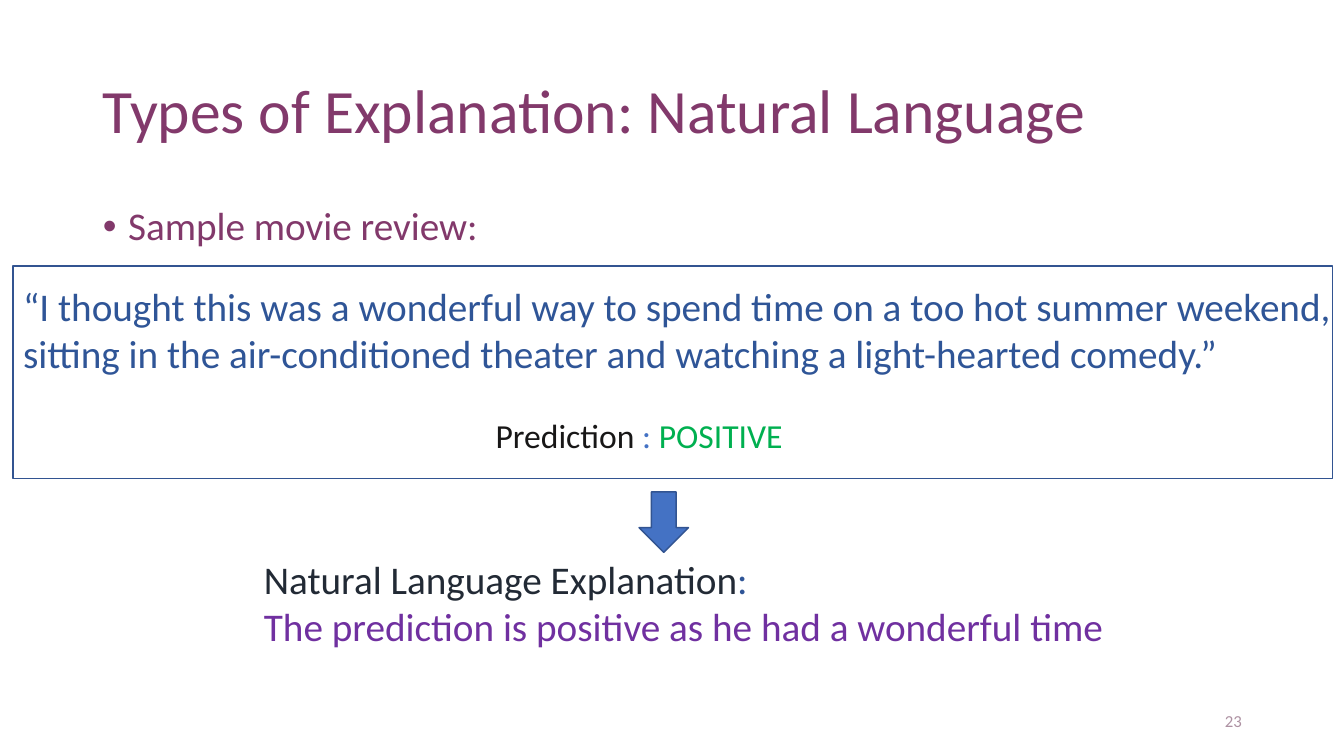
from lxml.etree import SubElement
from pptx import Presentation
from pptx.dml.color import RGBColor
from pptx.enum.shapes import MSO_SHAPE as Shape
from pptx.enum.text import MSO_ANCHOR as Anchor, PP_ALIGN as Align
from pptx.oxml.ns import qn
from pptx.util import Inches, Pt

PLUM = RGBColor(0x82, 0x39, 0x6B)
MAUVE = RGBColor(0xAD, 0x91, 0xA2)
SLATE = RGBColor(0x22, 0x2A, 0x35)
NAVY = RGBColor(0x2F, 0x55, 0x97)
OUTLINE = RGBColor(0x32, 0x54, 0x91)
BLUE = RGBColor(0x44, 0x72, 0xC4)
PURPLE = RGBColor(0x70, 0x30, 0xA0)
BLACK = RGBColor(0x18, 0x17, 0x17)
GREEN = RGBColor(0x00, 0xB0, 0x50)

deck = Presentation()
deck.slide_width, deck.slide_height = Inches(13.33), Inches(7.5)
slide = deck.slides.add_slide(deck.slide_layouts[1])


def area(left, top, width, height):
    """Turn percentages of the slide's size into a position and size."""
    w, h = deck.slide_width, deck.slide_height
    return [int(share * side / 100)
            for share, side in zip((left, top, width, height), (w, h, w, h))]


def write(paragraph, text, size, color):
    run = paragraph.add_run()
    run.text = text
    run.font.name = "Calibri"
    run.font.size = Pt(size)
    run.font.color.rgb = color


# Title and opening bullet
title = slide.shapes.title
review_intro = slide.placeholders[1]
for holder, place, anchor, text, size in (
    (title, area(6.9, 5.33, 86.25, 19.33), Anchor.MIDDLE,
     "Types of Explanation: Natural Language", 44),
    (review_intro, area(6.9, 26.67, 86.25, 63.47), Anchor.TOP,
     "Sample movie review:", 28),
):
    holder.left, holder.top, holder.width, holder.height = place
    holder.text_frame.vertical_anchor = anchor
    line = holder.text_frame.paragraphs[0]
    line.alignment = Align.LEFT
    line.line_spacing = 0.9
    line.space_before = Pt(0)
    write(line, text, size, PLUM)

bullet = review_intro.text_frame.paragraphs[0]._p.get_or_add_pPr()
bullet.set("marL", str(Inches(0.25)))
bullet.set("indent", str(Inches(-0.25)))
SubElement(bullet, qn("a:buFont")).set("typeface", "Arial")
SubElement(bullet, qn("a:buChar")).set("char", "•")

# Review frame and the arrow to the explanation
frame = slide.shapes.add_shape(Shape.RECTANGLE, *area(0.98, 35.2, 98.18, 28.13))
frame.fill.background()
arrow = slide.shapes.add_shape(Shape.DOWN_ARROW, *area(47.55, 65.07, 3.68, 8))
arrow.fill.solid()
arrow.fill.fore_color.rgb = BLUE
for outlined in (frame, arrow):
    outlined.shadow.inherit = False
    outlined.line.color.rgb = OUTLINE
    outlined.line.width = Pt(1)

# Text boxes: place, alignment, size, paragraphs of (text, colour) runs
for place, alignment, size, paragraphs in (
    (area(0.98, 36.67, 99, 13.87), Align.LEFT, 28, [
        [("“I thought this was a wonderful way to spend time on a too hot summer weekend,", NAVY)],
        [("sitting in the air-conditioned theater and watching a light-hearted comedy.”", NAVY)],
    ]),
    (area(36, 54.27, 23.1, 6.67), Align.CENTER, 24, [
        [("Prediction", BLACK), (" : ", BLUE), ("POSITIVE", GREEN)],
    ]),
    (area(18.9, 72.8, 64.7, 13.87), Align.LEFT, 28, [
        [("Natural Language Explanation", SLATE), (":", NAVY)],
        [("The prediction is positive as he had a wonderful time", PURPLE)],
    ]),
    (area(70.65, 92.67, 22.5, 5.33), Align.RIGHT, 12, [[("23", MAUVE)]]),
):
    body = slide.shapes.add_textbox(*place).text_frame
    body.word_wrap = False
    body.vertical_anchor = Anchor.MIDDLE
    for index, runs in enumerate(paragraphs):
        line = body.add_paragraph() if index else body.paragraphs[0]
        line.alignment = alignment
        for text, color in runs:
            write(line, text, size, color)

deck.save("out.pptx")
